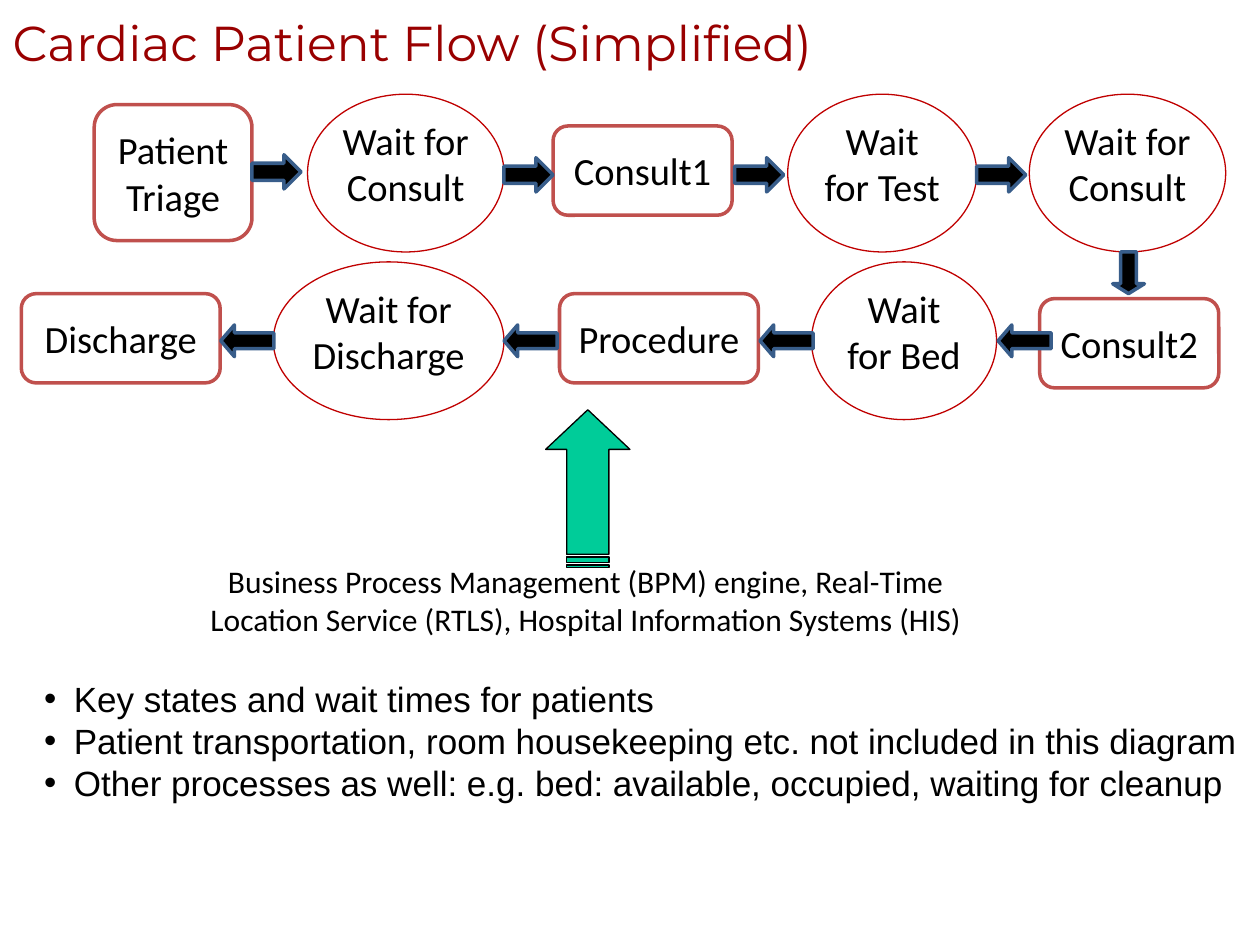
from lxml import etree
from pptx import Presentation
from pptx import util as u
from pptx.dml.color import RGBColor
from pptx.enum import shapes, text
from pptx.oxml.ns import qn

BLACK = RGBColor(0x00, 0x00, 0x00)
WHITE = RGBColor(0xFF, 0xFF, 0xFF)
TITLE_RED = RGBColor(0x99, 0x00, 0x00)
BOX_RED = RGBColor(0xC0, 0x50, 0x4D)
OVAL_RED = RGBColor(0xC0, 0x00, 0x00)
ARROW_BLUE = RGBColor(0x38, 0x5D, 0x8A)
GREEN = RGBColor(0x00, 0xCC, 0x99)
KIND = shapes.MSO_SHAPE
ALIGN = text.PP_ALIGN
ANCHOR = text.MSO_ANCHOR


def write(sp, words, size=22, font="Calibri", color=BLACK, align=ALIGN.CENTER,
          anchor=ANCHOR.MIDDLE, bullet=False):
    tf = sp.text_frame
    tf.word_wrap = True
    tf.vertical_anchor = anchor
    tf.text = words
    for p in tf.paragraphs:
        p.alignment = align
        if bullet:
            pPr = p._p.get_or_add_pPr()
            pPr.set("marL", str(u.Cm(0.6)))
            pPr.set("indent", str(-u.Cm(0.6)))
            etree.SubElement(pPr, qn("a:buFont"), typeface="Arial")
            etree.SubElement(pPr, qn("a:buChar"), char="•")
        for r in p.runs:
            r.font.size = u.Pt(size)
            r.font.name = font
            r.font.color.rgb = color


def draw(kind, x, y, w, h, fill, line, width, turn=0):
    sp = s.shapes.add_shape(kind, u.Cm(x), u.Cm(y), u.Cm(w), u.Cm(h))
    sp.shadow.inherit = False
    if fill is None:
        sp.fill.background()
    else:
        sp.fill.solid()
        sp.fill.fore_color.rgb = fill
    sp.line.color.rgb = line
    sp.line.width = u.Pt(width)
    sp.rotation = turn
    return sp


prs = Presentation()
prs.slide_width, prs.slide_height = u.Cm(25.4), u.Cm(19.05)
s = prs.slides.add_slide(prs.slide_layouts[5])

title = s.shapes.title
title.left, title.top, title.width, title.height = 0, 0, u.Cm(25.4), u.Cm(1.7)
write(title, "Cardiac Patient Flow (Simplified)", size=28, font="Montserrat",
      color=TITLE_RED, align=ALIGN.LEFT)

steps = [
    ("Patient Triage", 1.9, 2.11, 3.18, 2.74),
    ("Consult1", 11.15, 2.54, 3.61, 1.8),
    ("Consult2", 20.96, 6.02, 3.61, 1.8),
    ("Procedure", 11.28, 5.92, 4.01, 1.8),
    ("Discharge", 0.43, 5.92, 4.01, 1.8),
]
for words, x, y, w, h in steps:
    write(draw(KIND.ROUNDED_RECTANGLE, x, y, w, h, WHITE, BOX_RED, 2), words)

waits = [
    ("Wait for Consult", 6.2, 1.9, 3.96),
    ("Wait for Test", 15.88, 1.9, 3.81),
    ("Wait for Consult", 20.75, 1.9, 3.96),
    ("Wait for Bed", 16.36, 5.28, 3.73),
    ("Wait for Discharge", 5.51, 5.28, 4.65),
]
for words, x, y, w in waits:
    sp = draw(KIND.OVAL, x, y, w, 3.18, None, OVAL_RED, 0.75)
    tf = sp.text_frame
    tf.margin_left = tf.margin_right = u.Cm(0.1)
    tf.margin_top = tf.margin_bottom = 0
    write(sp, words, anchor=ANCHOR.TOP)

arrows = [(x, y, 0.99, 0.69, 0, 0.5)
          for x, y in ((5.08, 3.12), (10.16, 3.18), (14.81, 3.18), (19.69, 3.18))]
arrows += [(x, 6.55, 1.07, 0.64, 180, 0.43) for x in (20.12, 15.32, 10.16, 4.45)]
arrows.append((22.33, 5.18, 0.84, 0.64, 90, 0.31))
for x, y, w, h, turn, head in arrows:
    sp = draw(KIND.RIGHT_ARROW, x, y, w, h, BLACK, ARROW_BLUE, 2, turn)
    sp.adjustments[1] = head

bullets = s.shapes.add_textbox(u.Cm(0.64), u.Cm(13.54), u.Cm(24.76), u.Cm(2.82))
write(bullets, "Key states and wait times for patients\n"
      "Patient transportation, room housekeeping etc. not included in this diagram\n"
      "Other processes as well: e.g. bed: available, occupied, waiting for cleanup",
      size=20, font="Arial", align=ALIGN.LEFT, anchor=ANCHOR.TOP, bullet=True)

sp = draw(KIND.STRIPED_RIGHT_ARROW, 10.26, 9, 3.18, 1.7, GREEN, BLACK, 0.75, 270)
sp.adjustments[1] = 0.47

systems = s.shapes.add_textbox(u.Cm(3.76), u.Cm(11.2), u.Cm(16.1), u.Cm(1.8))
write(systems, "Business Process Management (BPM) engine, Real-Time Location Service "
      "(RTLS), Hospital Information Systems (HIS)", size=18, anchor=ANCHOR.TOP)

prs.save("out.pptx")
